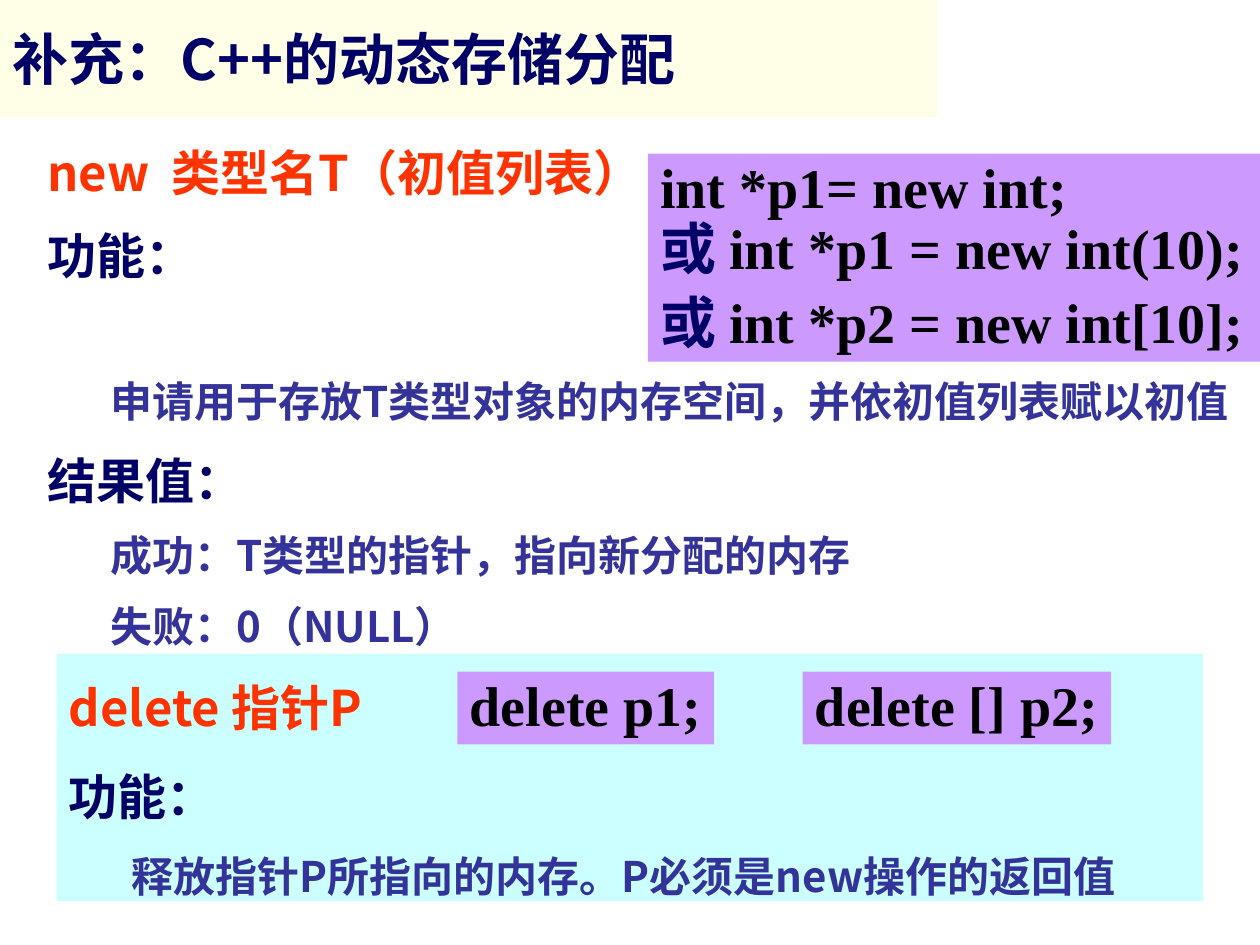
from pptx import Presentation
from pptx.dml.color import RGBColor
from pptx.enum.shapes import MSO_SHAPE as SHAPE
from pptx.enum.text import MSO_ANCHOR as ANCHOR, MSO_AUTO_SIZE as FIT, PP_ALIGN as ALIGN
from pptx.oxml.ns import qn
from pptx.util import Cm, Pt

THEME = {
    "cjk": "Noto Sans CJK SC", "code": "Times New Roman",
    "navy": "000066", "red": "FF3300", "blue": "333399", "black": "000000",
    "cream": "FFFFE7", "cyan": "CCFFFF", "violet": "CC99FF",
    "big": 32, "head": 28, "body": 24,
}

# Paragraph styles: colour, size, font, level, left margin and hang (cm), space before (pt)
HEAD = dict(color="navy", size="head", font="cjk", level=0, margin=0.97, hang=0.97, before=7)
STYLES = {
    "title": dict(color="navy", size="big", font="cjk", level=0, margin=0, hang=0, before=0),
    "syntax": dict(HEAD, color="red"),
    "head": HEAD,
    "body": dict(color="blue", size="body", font="cjk", level=1, margin=2.06, hang=0.79, before=6),
    "code": dict(color="black", size="big", font="code", level=0, margin=0, hang=0, before=8),
}
STYLES["spaced body"] = dict(STYLES["body"], before=46.5)  # leaves room for the code box

# Content: a paragraph is (style, runs); a run is text or (text, colour); "\n" breaks the line
OR = ("或 ", "navy")
TITLE = [("title", ["补充：C++的动态存储分配"])]
NEW = [
    ("syntax", ["new  类型名T（初值列表）"]),
    ("head", ["功能："]),
    ("spaced body", ["申请用于存放T类型对象的内存空间，并依初值列表赋以初值"]),
    ("head", ["结果值："]),
    ("body", ["成功：T类型的指针，指向新分配的内存"]),
    ("body", ["失败：0（NULL）"]),
]
NEW_CODE = [
    ("code", ["int *p1= new int;", "\n", OR, "int *p1 = new int(10);"]),
    ("code", [OR, "int *p2 = new int[10];"]),
]
DELETE = [
    ("syntax", ["delete 指针P"]),
    ("head", ["功能："]),
    ("body", ["释放指针P所指向的内存。P必须是new操作的返回值"]),
]

# Boxes: left, top, width, height (cm), fill, line spacing, wrap, paragraphs
CODE_TOP, CODE_H = 13.54, 1.47
BOXES = [
    (0.71, 2.51, 24.77, 9.09, None, 1.2, True, NEW),
    (13.06, 3.1, 12.55, 4.19, "violet", 0.9, False, NEW_CODE),
    (1.14, 13.18, 23.11, 4.98, "cyan", 1.3, True, DELETE),
    (9.22, CODE_TOP, 5.18, CODE_H, "violet", 0.9, False, [("code", ["delete p1;"])]),
    (16.18, CODE_TOP, 6.22, CODE_H, "violet", 0.9, False, [("code", ["delete [] p2;"])]),
]
TITLE_BOX = (0, 0, 18.9, 2.36)


def rgb(name):
    return RGBColor.from_string(THEME[name])


def add_text(p, text, color, style):
    r = p.add_run()
    r.text = text
    for key, value in dict(name=THEME[style["font"]], size=Pt(THEME[style["size"]]), bold=True).items():
        setattr(r.font, key, value)
    r.font.color.rgb = rgb(color)
    # East Asian glyphs always use the CJK face
    ea = r.font._element.makeelement(qn("a:ea"), {"typeface": THEME["cjk"]})
    r.font._element.find(qn("a:latin")).addnext(ea)


def write(tf, paragraphs, spacing):
    for i, (name, runs) in enumerate(paragraphs):
        style = STYLES[name]
        p = tf.paragraphs[0] if i == 0 else tf.add_paragraph()
        formats = dict(alignment=ALIGN.LEFT, level=style["level"], line_spacing=spacing,
                       space_before=Pt(style["before"] if i else 0), space_after=Pt(0))
        for key, value in formats.items():
            setattr(p, key, value)
        pPr = p._p.get_or_add_pPr()
        pPr.set("marL", str(Cm(style["margin"])))
        pPr.set("indent", str(-Cm(style["hang"])))
        for run in runs:
            if run == "\n":
                p.add_line_break()
                continue
            text, color = run if isinstance(run, tuple) else (run, style["color"])
            add_text(p, text, color, style)


def set_frame(tf, anchor, wrap):
    formats = dict(word_wrap=wrap, vertical_anchor=anchor,
                   auto_size=FIT.NONE if wrap else FIT.SHAPE_TO_FIT_TEXT,
                   margin_left=Cm(0.25), margin_right=Cm(0.25),
                   margin_top=Cm(0.13), margin_bottom=Cm(0.13))
    for key, value in formats.items():
        setattr(tf, key, value)


def paint(sp, fill):
    sp.fill.solid()
    sp.fill.fore_color.rgb = rgb(fill)
    sp.line.fill.background()


def main():
    prs = Presentation()
    prs.slide_width, prs.slide_height = Cm(25.4), Cm(19.05)
    slide = prs.slides.add_slide(prs.slide_layouts[5])

    # Title band
    title = slide.shapes.title
    title.left, title.top, title.width, title.height = map(Cm, TITLE_BOX)
    paint(title, "cream")
    set_frame(title.text_frame, ANCHOR.MIDDLE, True)
    write(title.text_frame, TITLE, 1.0)

    # Explanations and code boxes
    for *place, fill, spacing, wrap, paragraphs in BOXES:
        place = map(Cm, place)
        if fill:
            sp = slide.shapes.add_shape(SHAPE.RECTANGLE, *place)
            sp.shadow.inherit = False
            paint(sp, fill)
        else:
            sp = slide.shapes.add_textbox(*place)
        set_frame(sp.text_frame, ANCHOR.TOP, wrap)
        write(sp.text_frame, paragraphs, spacing)

    prs.save("out.pptx")


if __name__ == "__main__":
    main()
